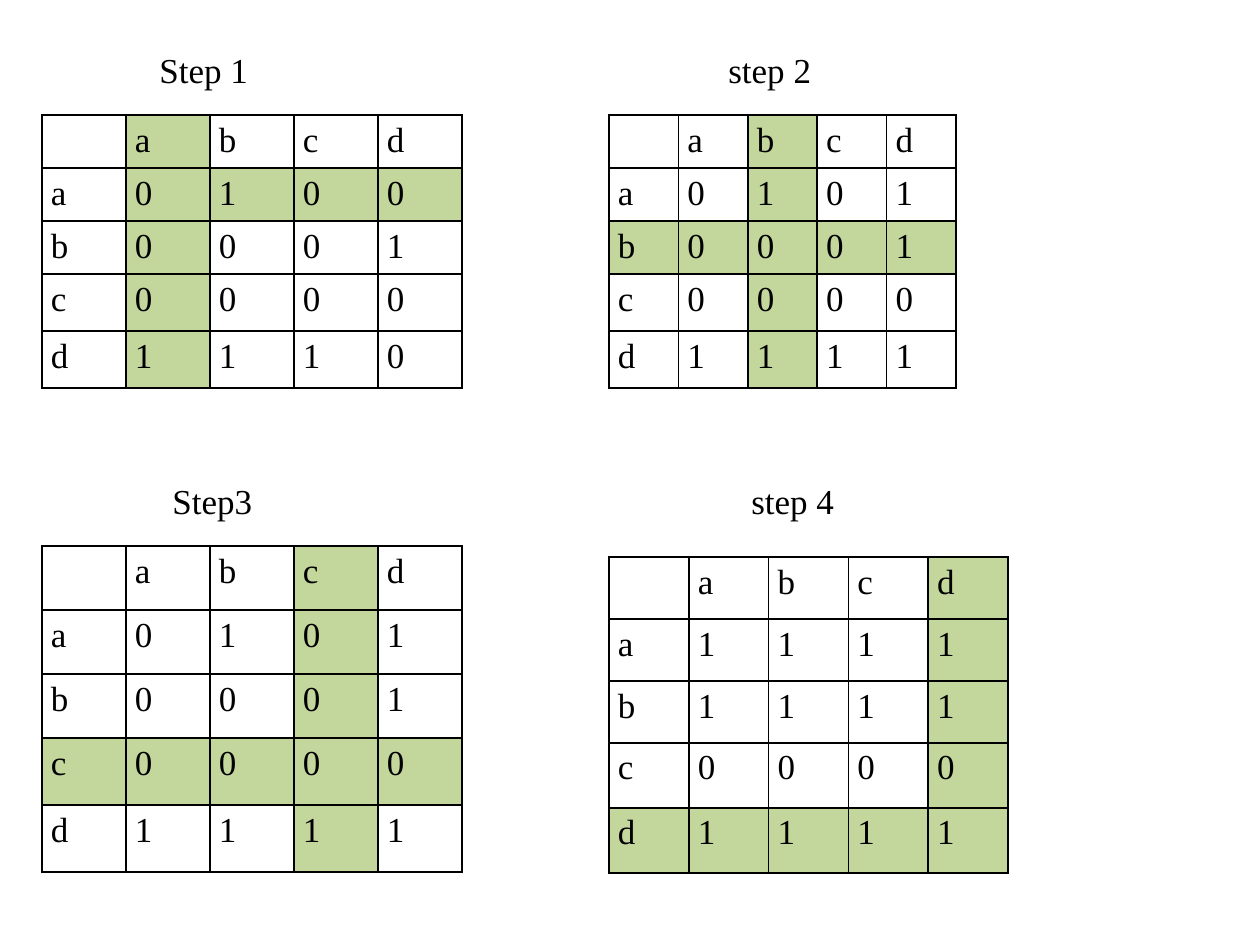
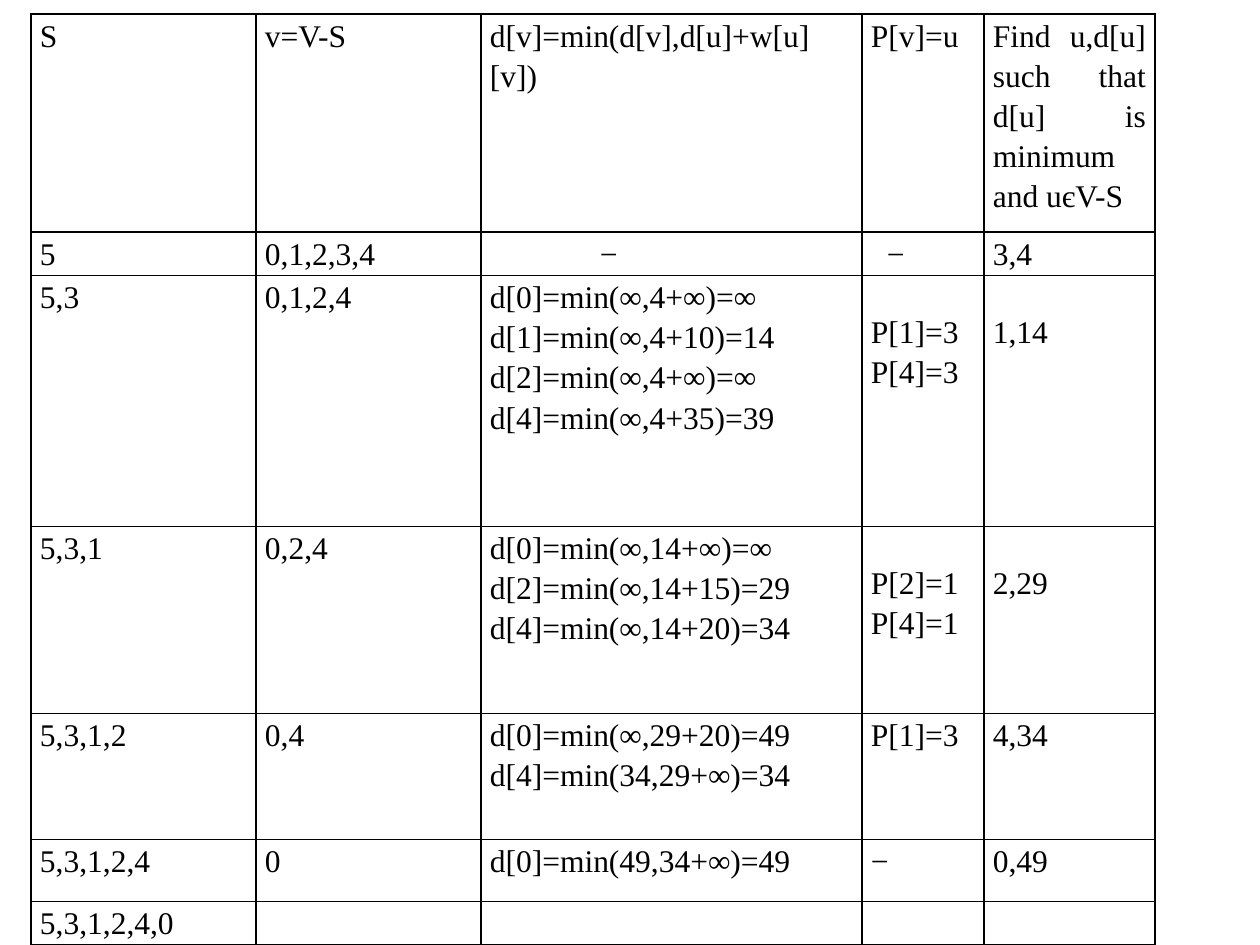
from lxml import etree
from pptx import Presentation
from pptx.dml.color import RGBColor
from pptx.enum.text import MSO_ANCHOR, PP_ALIGN
from pptx.oxml.ns import qn
from pptx.util import Pt

JUSTIFY = PP_ALIGN.JUSTIFY
MIDDLE = MSO_ANCHOR.MIDDLE
FONT = "Times New Roman"
COLORS = {"ink": "000000", "mark": "C3D69B"}
SIDES = ("a:lnL", "a:lnR", "a:lnT", "a:lnB")
PAD = 9


def px(n):
    return round(n * 914400 / 126)


def style(frame, size, after=0):
    for para in frame.paragraphs:
        para.alignment = JUSTIFY
        para.space_after = Pt(after)
        for run in para.runs:
            run.font.name = FONT
            run.font.size = Pt(size)
            run.font.bold = False
            run.font.color.rgb = RGBColor.from_string(COLORS["ink"])


prs = Presentation()
prs.slide_width, prs.slide_height = px(1260), px(945)
blank = prs.slide_layouts[6]
steps = prs.slides.add_slide(blank)
paths = prs.slides.add_slide(blank)

# Step captions: text, left edge of the text, top
captions = [
    ("Step 1", 160, 42),
    ("step 2", 729, 42),
    ("Step3", 173, 473),
    ("step 4", 752, 473),
]
for text, left, top in captions:
    box = steps.shapes.add_textbox(px(left - 13), px(top), px(140), px(55))
    frame = box.text_frame
    frame.word_wrap = False
    frame.vertical_anchor = MIDDLE
    frame.text = text
    style(frame, 20)

# Step matrices: left, top, width, row heights, values by row
NAMES = "abcd"
grids = [
    (42, 115, 420, [53, 53, 53, 57, 57], ["0100", "0001", "0000", "1110"]),
    (609, 115, 347, [53, 53, 53, 57, 57], ["0101", "0001", "0000", "1111"]),
    (42, 546, 420, [64, 64, 64, 67, 67], ["0101", "0001", "0000", "1111"]),
    (609, 557, 399, [62, 62, 62, 65, 65], ["1111", "1111", "0000", "1111"]),
]
tables = []
for step, (left, top, width, heights, bits) in enumerate(grids, 1):
    rows = [["", *NAMES]] + [[name, *line] for name, line in zip(NAMES, bits)]
    # Each step marks its own row and column; step 1 leaves the row name plain
    marks = {(i, step) for i in range(5)} | {(step, i) for i in range(5)}
    if step == 1:
        marks.remove((1, 0))
    tables.append((steps, left, top, [width / 5] * 5, heights, rows, marks, 20))

# Shortest path table
path_rows = [
    ["S", "v=V-S", "d[v]=min(d[v],d[u]+w[u][v])", "P[v]=u",
     "Find u,d[u] such that d[u] is minimum and uєV-S"],
    ["5", "0,1,2,3,4", "−", "−", "3,4"],
    ["5,3", "0,1,2,4",
     "d[0]=min(∞,4+∞)=∞\nd[1]=min(∞,4+10)=14\nd[2]=min(∞,4+∞)=∞\nd[4]=min(∞,4+35)=39",
     "P[1]=3\nP[4]=3", "1,14"],
    ["5,3,1", "0,2,4",
     "d[0]=min(∞,14+∞)=∞\nd[2]=min(∞,14+15)=29\nd[4]=min(∞,14+20)=34",
     "P[2]=1\nP[4]=1", "2,29"],
    ["5,3,1,2", "0,4", "d[0]=min(∞,29+20)=49\nd[4]=min(34,29+∞)=34",
     "P[1]=3", "4,34"],
    ["5,3,1,2,4", "0", "d[0]=min(49,34+∞)=49", "−", "0,49"],
    ["5,3,1,2,4,0", "", "", "", ""],
]
tables.append((paths, 31, 14, [225, 225, 381, 122, 171],
               [218, 43, 251, 187, 126, 62, 43], path_rows, set(), 18))

# Draw every table
grown = []
for slide, left, top, widths, heights, rows, marks, size in tables:
    table = slide.shapes.add_table(
        len(rows), len(widths), px(left), px(top),
        px(sum(widths)), px(sum(heights))).table
    table.first_row = table.horz_banding = False
    for col, width in zip(table.columns, widths):
        col.width = px(width)
    for row, height in zip(table.rows, heights):
        row.height = px(height)
    for r, row in enumerate(rows):
        for c, text in enumerate(row):
            cell = table.cell(r, c)
            cell.margin_left = cell.margin_right = px(PAD)
            cell.margin_top = cell.margin_bottom = 0
            cell.text_frame.text = text
            style(cell.text_frame, size)
            for para in cell.text_frame.paragraphs:
                para.line_spacing = 1.15
            # Borders come before the fill in the cell properties
            props = cell._tc.get_or_add_tcPr()
            for side in SIDES:
                line = etree.SubElement(props, qn(side), w=str(Pt(1)))
                fill = etree.SubElement(line, qn("a:solidFill"))
                etree.SubElement(fill, qn("a:srgbClr"), val=COLORS["ink"])
            if (r, c) in marks:
                cell.fill.solid()
                cell.fill.fore_color.rgb = RGBColor.from_string(COLORS["mark"])
            else:
                cell.fill.background()

# Shifted cells of the path table, the last one drawn
for c, shift in ((2, 110), (3, 16)):
    table.cell(1, c).margin_left = px(PAD + shift)
for r in (2, 3):
    for c in (3, 4):
        table.cell(r, c).margin_top = px(35)

prs.save("out.pptx")
